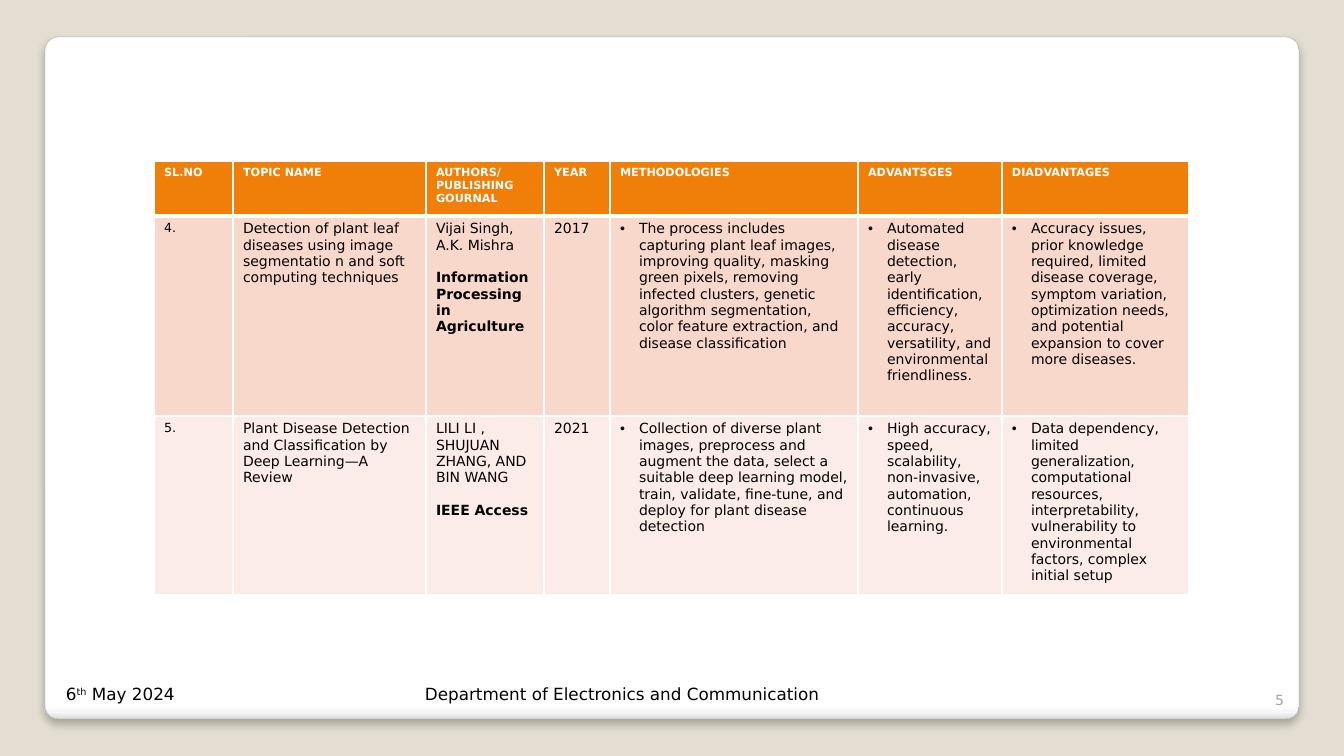
from lxml import etree
from pptx import Presentation
from pptx.dml.color import RGBColor
from pptx.enum.shapes import MSO_SHAPE
from pptx.enum.text import MSO_ANCHOR, PP_ALIGN
from pptx.oxml.ns import qn
from pptx.util import Pt

ROUND = MSO_SHAPE.ROUNDED_RECTANGLE
BOTTOM = MSO_ANCHOR.BOTTOM
RIGHT = PP_ALIGN.RIGHT
PX = 914400 / 100.8
FONT = "DejaVu Sans"
HEX = {
    "back": "E3DED1", "white": "FFFFFF", "pale": "F7F7F7", "edge": "DADADA",
    "line": "A4A4A4", "black": "000000", "grey": "A8A49B",
    "head": "F07F09", "odd": "F9D8CC", "even": "FCECE7",
}
RGB = {name: RGBColor.from_string(code) for name, code in HEX.items()}


def style(para, size, color, bold=False):
    font = para.font
    font.name = FONT
    font.size = Pt(size)
    font.bold = bold
    font.color.rgb = RGB[color]


def add(parent, tag, **attrs):
    return etree.SubElement(parent, qn(tag), {k: str(v) for k, v in attrs.items()})


deck = Presentation()
deck.slide_width = int(1344 * PX)
deck.slide_height = int(756 * PX)
slide = deck.slides.add_slide(deck.slide_layouts[6])
slide.background.fill.solid()
slide.background.fill.fore_color.rgb = RGB["back"]

card = slide.shapes.add_shape(ROUND, *(int(n * PX) for n in (45, 37, 1254, 682)))
card.adjustments[0] = 0.02
card.fill.gradient()
card.fill.gradient_angle = 270
stops = card._element.spPr.find(".//" + qn("a:gsLst"))
for stop in list(stops):
    stops.remove(stop)
for pos, name in ((0, "white"), (98, "white"), (99, "pale"), (100, "edge")):
    add(add(stops, "a:gs", pos=pos * 1000), "a:srgbClr", val=HEX[name])
card.line.color.rgb = RGB["line"]
card.line.width = Pt(0.16)
card.shadow.inherit = False
glow = add(card._element.spPr.find(qn("a:effectLst")), "a:outerShdw",
           blurRad=Pt(6), dist=Pt(4), dir=5400000, algn="t", rotWithShape=0)
add(add(glow, "a:srgbClr", val=HEX["black"]), "a:alpha", val=25000)

page = slide.shapes.add_textbox(*(int(n * PX) for n in (1227, 673, 67, 40))).text_frame
page.word_wrap = True
page.vertical_anchor = BOTTOM
para = page.paragraphs[0]
para.text = "5"
para.alignment = RIGHT
style(para, 10, "grey")

widths = [79, 193, 118, 66, 248, 144, 187]
heights = [55, 200, 178]
rows = [
    ["SL.NO", "TOPIC NAME", "AUTHORS/PUBLISHING GOURNAL", "YEAR",
     "METHODOLOGIES", "ADVANTSGES", "DIADVANTAGES"],
    ["4.",
     "Detection of plant leaf diseases using image segmentatio n and soft computing techniques",
     "Vijai Singh, A.K. Mishra\nInformation Processing in Agriculture",
     "2017",
     "The process includes capturing plant leaf images, improving quality, masking green pixels, "
     "removing infected clusters, genetic algorithm segmentation, color feature extraction, "
     "and disease classification",
     "Automated disease detection, early identification, efficiency, accuracy, versatility, "
     "and environmental friendliness.",
     "Accuracy issues, prior knowledge required, limited disease coverage, symptom variation, "
     "optimization needs, and potential expansion to cover more diseases."],
    ["5.",
     "Plant Disease Detection and Classification by Deep Learning—A Review",
     "LILI LI , SHUJUAN ZHANG, AND BIN WANG\nIEEE Access",
     "2021",
     "Collection of diverse plant images, preprocess and augment the data, select a suitable "
     "deep learning model, train, validate, fine-tune, and deploy for plant disease detection",
     "High accuracy, speed, scalability, non-invasive, automation, continuous learning.",
     "Data dependency, limited generalization, computational resources, interpretability, "
     "vulnerability to environmental factors, complex initial setup"],
]
box = (int(n * PX) for n in (154, 161, sum(widths), sum(heights)))
table = slide.shapes.add_table(len(rows), len(widths), *box).table
for col, width in zip(table.columns, widths):
    col.width = int(width * PX)
for row, height in zip(table.rows, heights):
    row.height = int(height * PX)

for r, (texts, fill) in enumerate(zip(rows, ("head", "odd", "even"))):
    for c, text in enumerate(texts):
        cell = table.cell(r, c)
        props = cell._tc.get_or_add_tcPr()
        for side in "LRTB":
            thick = (r, side) in ((0, "B"), (1, "T"))
            edge = add(props, "a:ln" + side, w=Pt(3 if thick else 1))
            add(add(edge, "a:solidFill"), "a:srgbClr", val=HEX["white"])
        cell.fill.solid()
        cell.fill.fore_color.rgb = RGB[fill]
        cell.text = text
        for i, para in enumerate(cell.text_frame.paragraphs):
            if i:
                para.space_before = Pt(11.7)
            if r and c > 3:
                form = para._p.get_or_add_pPr()
                form.set("marL", str(int(19 * PX)))
                form.set("indent", str(int(-19 * PX)))
                add(form, "a:buFont", typeface="Arial")
                add(form, "a:buChar", char="•")
            if r:
                style(para, 10 if c else 9, "black", i > 0)
            else:
                style(para, 8, "white", True)

foot = slide.shapes.add_textbox(*(int(n * PX) for n in (56, 679, 1106, 30))).text_frame
foot.word_wrap = True
para = foot.paragraphs[0]
tabs = add(para._p.get_or_add_pPr(), "a:tabLst")
add(tabs, "a:tab", pos=int(359 * PX), algn="l")
for text in ("6", "th", " May 2024\tDepartment of Electronics and Communication"):
    run = para.add_run()
    run.text = text
    if text == "th":
        run._r.get_or_add_rPr().set("baseline", "30000")
style(para, 12, "black")

deck.save("out.pptx")
